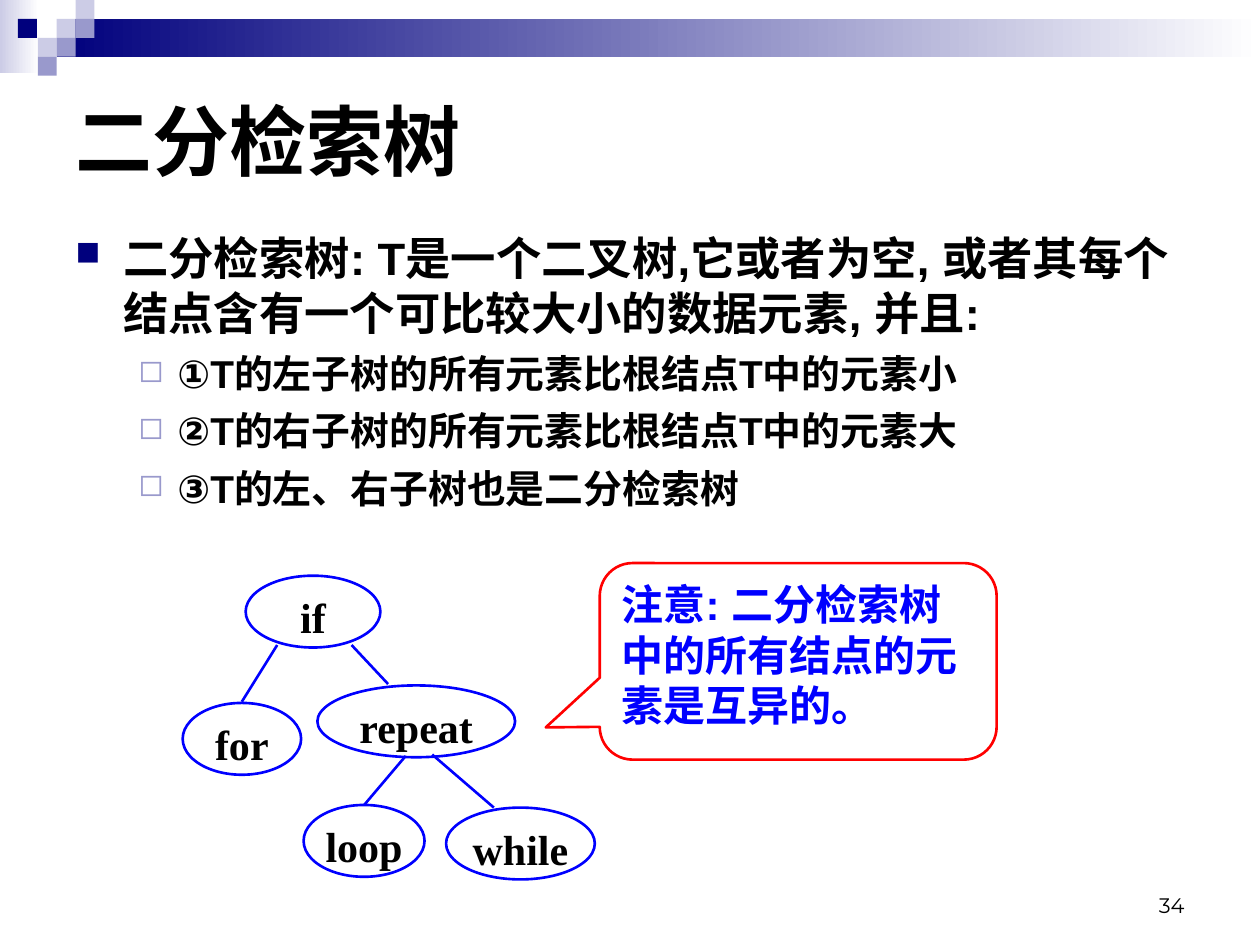
from lxml import etree
from pptx import Presentation
from pptx.dml.color import RGBColor
from pptx.enum import shapes, text
from pptx.oxml import ns
from pptx.util import Pt

COLORS = {"navy": "00007D", "lilac": "9999CC", "pale": "CCCCE6", "white": "FFFFFF",
          "black": "000000", "blue": "0000FF", "red": "FF0000"}
LINE_WIDTH = 1.5
SHAPE = shapes.MSO_SHAPE
ANCHOR = text.MSO_ANCHOR
ALIGN = text.PP_ALIGN


def rgb(name):
    return RGBColor.from_string(COLORS[name])


def add_child(parent, tag, **attributes):
    return etree.SubElement(parent, ns.qn(tag), attributes)


def write(paragraph, words, size, font="Arial", color="black", bold=True):
    run = paragraph.add_run()
    run.text = words
    for key, value in {"name": font, "size": Pt(size), "bold": bold}.items():
        setattr(run.font, key, value)
    run.font.color.rgb = rgb(color)


def set_frame(frame, anchor=ANCHOR.TOP, insets=(7.2, 3.6, 7.2, 3.6), wrap=True):
    left, top, right, bottom = insets
    settings = {"word_wrap": wrap, "vertical_anchor": anchor,
                "margin_left": Pt(left), "margin_top": Pt(top),
                "margin_right": Pt(right), "margin_bottom": Pt(bottom)}
    for key, value in settings.items():
        setattr(frame, key, value)
    return frame


def add_text_box(slide, box, anchor=ANCHOR.TOP):
    return set_frame(slide.shapes.add_textbox(*map(Pt, box)).text_frame, anchor)


def add_panel(slide, kind, box, fill=None, line=None):
    panel = slide.shapes.add_shape(kind, *map(Pt, box))
    panel.shadow.inherit = False
    if fill is None:
        panel.fill.background()
    elif isinstance(fill, tuple):
        panel.fill.gradient()
        panel.fill.gradient_angle = 0
        for stop, name in zip(panel.fill.gradient_stops, fill):
            stop.color.rgb = rgb(name)
    else:
        panel.fill.solid()
        panel.fill.fore_color.rgb = rgb(fill)
    if line is None:
        panel.line.fill.background()
    else:
        panel.line.color.rgb = rgb(line)
        panel.line.width = Pt(LINE_WIDTH)
    return panel


def add_banner(slide, box):
    left, top, width, height = box
    cell = 10.8
    # Fading bands
    add_panel(slide, SHAPE.RECTANGLE, (left, top, 22.3, height), ("pale", "white"))
    add_panel(slide, SHAPE.RECTANGLE,
              (left + 3 * cell, top + cell, width - 3 * cell, 2 * cell), ("navy", "white"))
    # Mosaic squares on a grid of column and row
    mosaic = [(3, 1, "pale"), (4, 0, "pale"), (4, 1, "lilac"), (2, 2, "pale"),
              (0.95, 1, "navy"), (3, 2, "lilac"), (2, 3, "lilac")]
    for column, row, color in mosaic:
        add_panel(slide, SHAPE.RECTANGLE,
                  (left + column * cell, top + row * cell, cell, cell), color)


def add_title(slide, box):
    frame = add_text_box(slide, box, ANCHOR.MIDDLE)
    write(frame.paragraphs[0], "二分检索树", 44)


def add_definition(slide, box):
    levels = [
        {"size": 25.9, "left": 27.36, "hang": 27.36, "color": "navy", "scale": 75, "mark": "■"},
        {"size": 22.2, "left": 58.32, "hang": 22.32, "color": "lilac", "scale": 80, "mark": "◻"},
    ]
    items = [
        (0, "二分检索树: T是一个二叉树,它或者为空, 或者其每个结点含有一个可比较大小的数据元素, 并且:"),
        (1, "①T的左子树的所有元素比根结点T中的元素小"),
        (1, "②T的右子树的所有元素比根结点T中的元素大"),
        (1, "③T的左、右子树也是二分检索树"),
    ]
    frame = add_text_box(slide, box)
    for index, (depth, words) in enumerate(items):
        level = levels[depth]
        paragraph = frame.add_paragraph() if index else frame.paragraphs[0]
        paragraph.level = depth
        properties = paragraph._p.get_or_add_pPr()
        properties.set("marL", str(Pt(level["left"])))
        properties.set("indent", str(-Pt(level["hang"])))
        add_child(add_child(properties, "a:buClr"), "a:srgbClr", val=COLORS[level["color"]])
        add_child(properties, "a:buSzPct", val=str(level["scale"] * 1000))
        add_child(properties, "a:buChar", char=level["mark"])
        if index:
            paragraph.space_before = Pt(6)
        write(paragraph, words, level["size"])


def add_tree(slide, box):
    left, top = box[:2]
    node_height = 41.04
    # Nodes: word, x, y, width
    nodes = [("repeat", 77, 62.7, 113), ("if", 36, 0, 77), ("loop", 69.1, 131, 69.1),
             ("for", 0, 72.7, 67.7), ("while", 150.5, 132.5, 85)]
    for word, x, y, width in nodes:
        node = add_panel(slide, SHAPE.OVAL, (left + x, top + y, width, node_height), line="blue")
        frame = set_frame(node.text_frame, insets=(0, 3, 0, 0), wrap=False)
        frame.paragraphs[0].alignment = ALIGN.CENTER
        write(frame.paragraphs[0], word, 24, "Times New Roman")
    # Branches from parent to child
    branches = [(54, 39.6, 33.8, 72), (96.5, 39.6, 117.4, 61.9),
                (142.6, 102.2, 177.8, 132.5), (127.4, 103, 103.7, 131)]
    for x1, y1, x2, y2 in branches:
        branch = slide.shapes.add_connector(
            shapes.MSO_CONNECTOR.STRAIGHT,
            Pt(left + x1), Pt(top + y1), Pt(left + x2), Pt(top + y2))
        branch.line.color.rgb = rgb("blue")
        branch.line.width = Pt(LINE_WIDTH)
        add_child(branch._element.spPr, "a:effectLst")


def add_note(slide, box):
    note = add_panel(slide, SHAPE.ROUNDED_RECTANGULAR_CALLOUT, box, "white", "red")
    for index, value in enumerate((-0.636, 0.336, 0.167)):
        note.adjustments[index] = value
    paragraph = set_frame(note.text_frame).paragraphs[0]
    paragraph.alignment = ALIGN.LEFT
    write(paragraph, "注意: 二分检索树中的所有结点的元素是互异的。", 24, color="blue")


def add_page_number(slide, box):
    paragraph = add_text_box(slide, box, ANCHOR.BOTTOM).paragraphs[0]
    paragraph.alignment = ALIGN.RIGHT
    write(paragraph, "34", 12, "Montserrat", bold=False)


def main():
    deck = Presentation()
    deck.slide_width, deck.slide_height = Pt(720), Pt(540)
    slide = deck.slides.add_slide(deck.slide_layouts[6])
    add_banner(slide, (0, 0, 720, 41.8))
    add_page_number(slide, (516.2, 491.8, 167.8, 36))
    add_title(slide, (36, 26, 648, 108))
    add_definition(slide, (36, 128.2, 648, 193.7))
    add_tree(slide, (104.4, 329, 235.5, 173.5))
    add_note(slide, (342.7, 321.8, 226.8, 112.3))
    deck.save("out.pptx")


if __name__ == "__main__":
    main()
